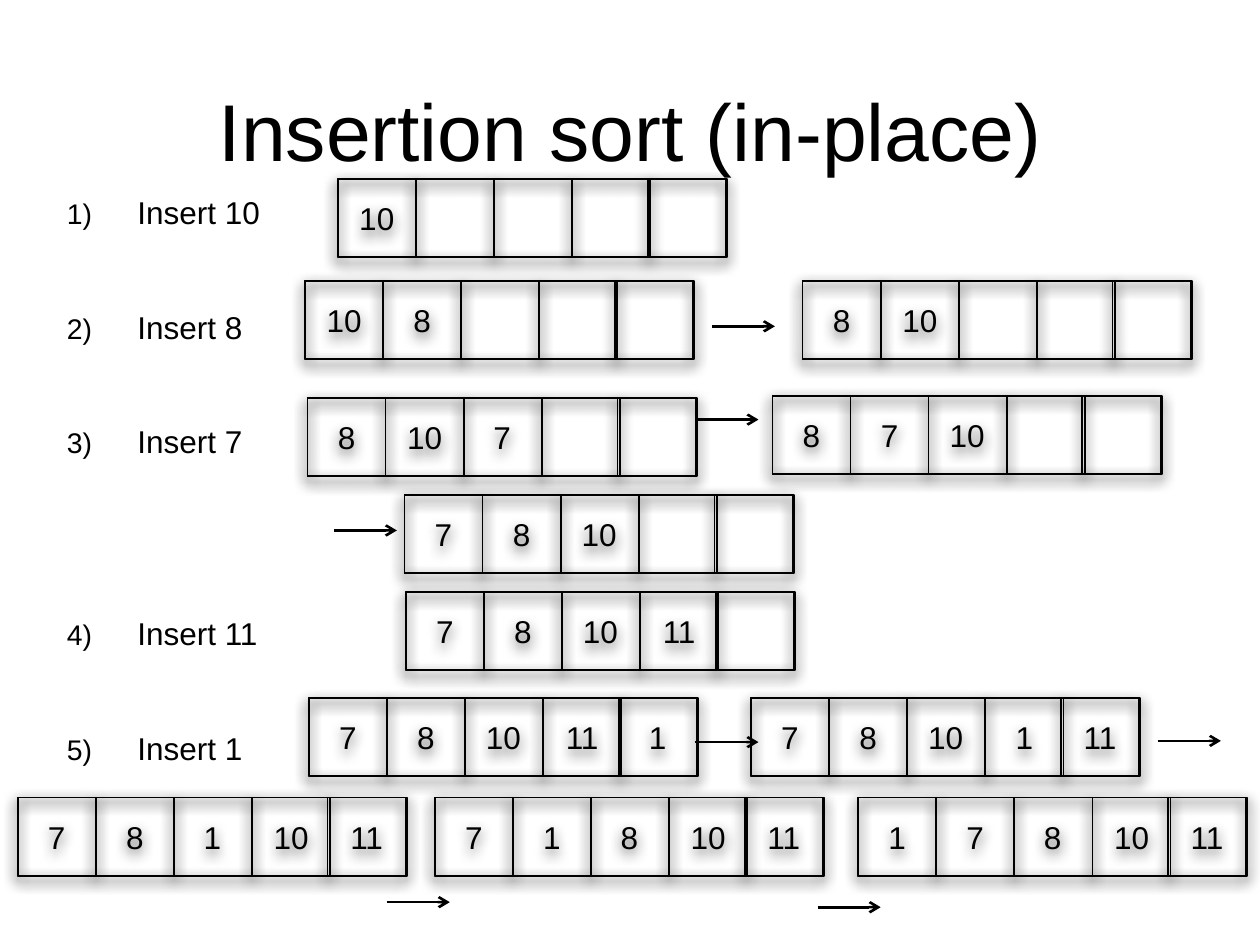
"""Insertion sort slide with each array state drawn as a grouped row of cells."""
from dataclasses import dataclass

from lxml.etree import SubElement
from pptx import Presentation
from pptx.dml.color import RGBColor
from pptx.enum.shapes import MSO_CONNECTOR as CONN, MSO_SHAPE as SHAPE
from pptx.enum.text import MSO_ANCHOR as ANCHOR, MSO_AUTO_SIZE as AUTO, PP_ALIGN as ALIGN
from pptx.oxml.ns import qn
from pptx.util import Inches, Pt


@dataclass(frozen=True)
class Theme:
    font: str = "Arial"
    ink: RGBColor = RGBColor(0, 0, 0)
    title: Pt = Pt(46)
    text: Pt = Pt(18)
    cell_line: Pt = Pt(1)
    arrow_line: Pt = Pt(1.5)


T = Theme()
CELL = 0.62
ROW = 3.09
OFFSETS = [0, CELL, 2 * CELL, 3 * CELL, ROW - CELL - 0.01]


def style_text(p, size, align):
    p.alignment = align
    for r in p.runs:
        r.font.name = T.font
        r.font.size = size
        r.font.color.rgb = T.ink


def add_box(group, x, y, width, value):
    sp = group.shapes.add_shape(SHAPE.RECTANGLE, Inches(x), Inches(y), Inches(width), Inches(CELL))
    sp.fill.background()
    sp.line.color.rgb = T.ink
    sp.line.width = T.cell_line
    sp.shadow.inherit = False
    effects = sp._element.spPr.find(qn("a:effectLst"))
    shadow = SubElement(effects, qn("a:outerShdw"), blurRad=str(Pt(8)), dist=str(Pt(3)),
                        dir="5400000", rotWithShape="0")
    color = SubElement(shadow, qn("a:srgbClr"), val=str(T.ink))
    SubElement(color, qn("a:alpha"), val="75000")
    if value:
        tf = sp.text_frame
        tf.margin_left = tf.margin_right = 0
        tf.vertical_anchor = ANCHOR.MIDDLE
        tf.text = value
        style_text(tf.paragraphs[0], T.text, ALIGN.CENTER)


prs = Presentation()
prs.slide_width, prs.slide_height = Inches(10), Inches(7.5)
s = prs.slides.add_slide(prs.slide_layouts[1])

title = s.shapes.title
title.left, title.top, title.width, title.height = Inches(1), Inches(0.55), Inches(8), Inches(0.95)
tf = title.text_frame
tf.auto_size = AUTO.NONE
tf.vertical_anchor = ANCHOR.MIDDLE
tf.text = "Insertion sort (in-place)"
style_text(tf.paragraphs[0], T.title, ALIGN.CENTER)

body = s.placeholders[1]
body.left, body.top, body.width, body.height = Inches(0.43), Inches(1.45), Inches(9), Inches(4.95)
steps = [("Insert 10", 0), ("Insert 8", 44), ("Insert 7", 44), ("Insert 11", 88), ("Insert 1", 44)]
tf = body.text_frame
tf.auto_size = AUTO.NONE
tf.margin_top = Inches(0.08)
tf.text = "\n".join(step for step, _ in steps)
for p, (_, gap) in zip(tf.paragraphs, steps):
    pPr = p._p.get_or_add_pPr()
    pPr.set("marL", str(Inches(0.56)))
    pPr.set("indent", str(-Inches(0.56)))
    SubElement(pPr, qn("a:buSzPct"), val="90000")
    SubElement(pPr, qn("a:buFont"), typeface=T.font)
    SubElement(pPr, qn("a:buAutoNum"), type="arabicParenR")
    p.space_before = Pt(gap)
    style_text(p, T.text, ALIGN.LEFT)

arrays = [
    (6.37, 2.23, ["8", "10", "", "", ""]),
    (2.42, 2.23, ["10", "8", "", "", ""]),
    (2.68, 1.42, ["10", "", "", "", ""]),
    (6.13, 3.14, ["8", "7", "10", "", ""]),
    (2.44, 3.16, ["8", "10", "7", "", ""]),
    (3.21, 3.93, ["7", "8", "10", "", ""]),
    (2.45, 5.54, ["7", "8", "10", "11", "1"]),
    (3.22, 4.7, ["7", "8", "10", "11", ""]),
    (5.96, 5.54, ["7", "8", "10", "1", "11"]),
    (3.45, 6.33, ["7", "1", "8", "10", "11"]),
    (0.14, 6.33, ["7", "8", "1", "10", "11"]),
    (6.81, 6.33, ["1", "7", "8", "10", "11"]),
]
for x, y, values in arrays:
    group = s.shapes.add_group_shape()
    add_box(group, x, y, ROW, values[2])
    for i, (offset, value) in enumerate(zip(OFFSETS, values)):
        add_box(group, x + offset, y, CELL, "" if i == 2 else value)

arrows = [(5.65, 2.59), (5.52, 3.33), (2.65, 4.21), (5.52, 5.89), (9.19, 5.88), (3.07, 7.16), (6.49, 7.2)]
for x, y in arrows:
    arrow = s.shapes.add_connector(CONN.STRAIGHT, Inches(x), Inches(y), Inches(x + 0.5), Inches(y))
    arrow.line.color.rgb = T.ink
    arrow.line.width = T.arrow_line
    SubElement(arrow.line._get_or_add_ln(), qn("a:tailEnd"), type="arrow")
    SubElement(arrow._element.spPr, qn("a:effectLst"))

prs.save("out.pptx")
